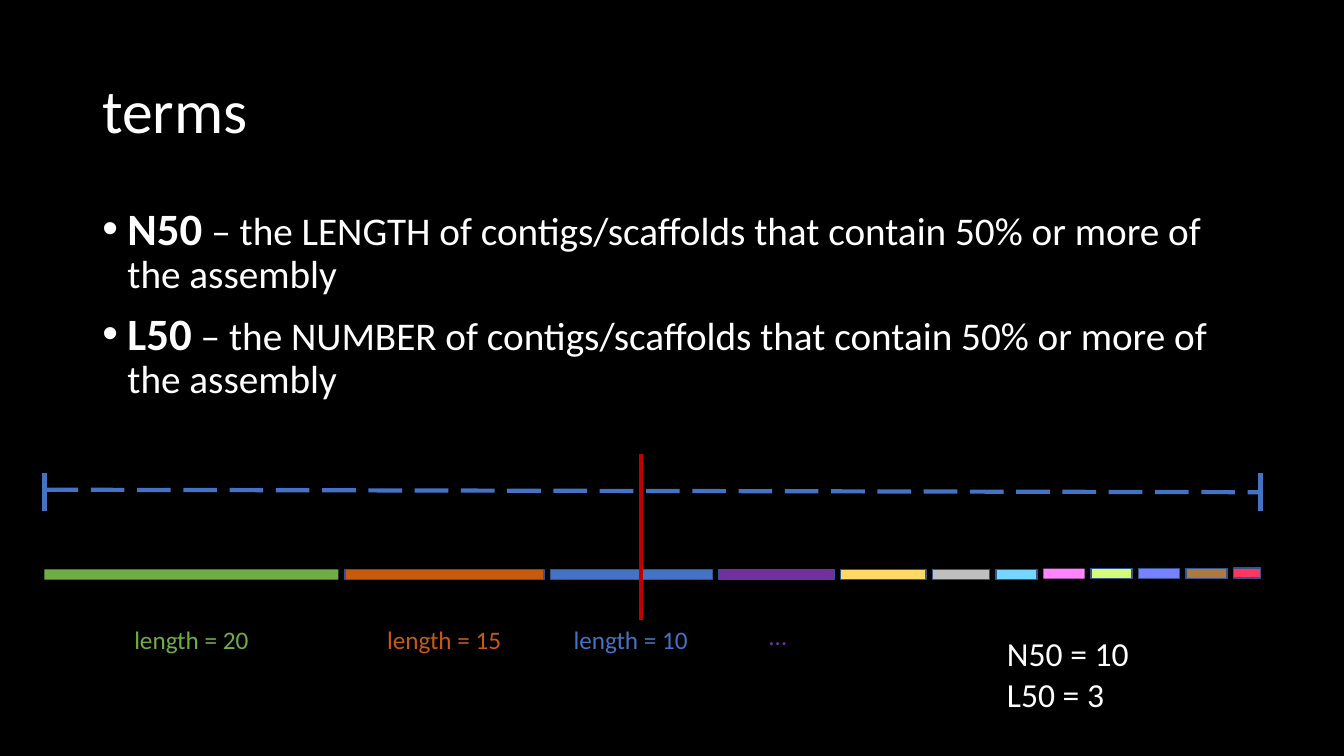
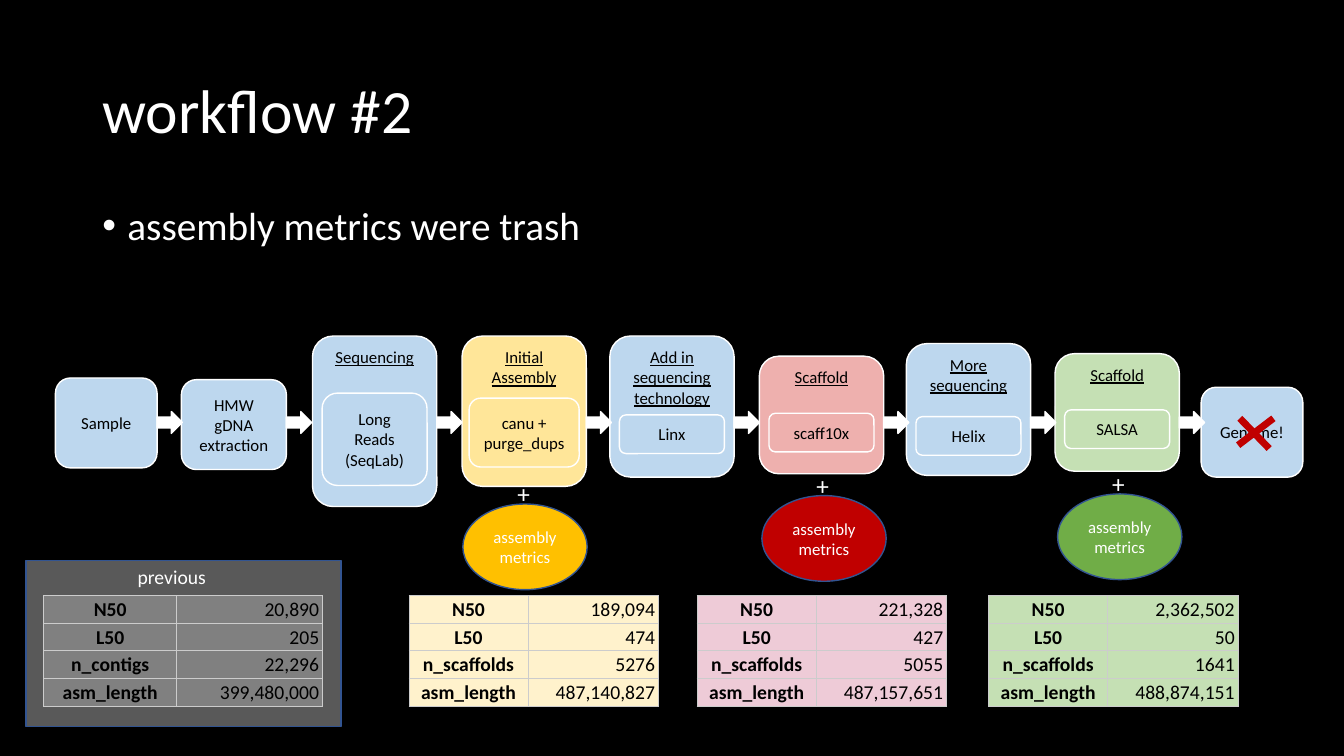
from dataclasses import dataclass
from typing import NamedTuple

from lxml import etree
from pptx import Presentation
from pptx import util as u
from pptx.dml.color import RGBColor
from pptx.enum import dml, shapes, text
from pptx.oxml.ns import qn

COLUMNS, ROWS = 160, 90
CELL = u.Inches(1) // 12  # square grid cell

BLACK = RGBColor(0x00, 0x00, 0x00)
WHITE = RGBColor(0xFF, 0xFF, 0xFF)
NAVY = RGBColor(0x32, 0x54, 0x91)
BLUE = RGBColor(0x44, 0x72, 0xC4)
RED = RGBColor(0xC0, 0x00, 0x00)
GREEN = RGBColor(0x70, 0xAD, 0x47)
ORANGE = RGBColor(0xC5, 0x5A, 0x11)
PURPLE = RGBColor(0x70, 0x30, 0xA0)
AMBER = RGBColor(0xFF, 0xC0, 0x00)
YELLOW = RGBColor(0xFF, 0xD9, 0x66)
SILVER = RGBColor(0xBF, 0xBF, 0xBF)
SKY = RGBColor(0x76, 0xD6, 0xFF)
PINK = RGBColor(0xFF, 0x85, 0xFF)
LIME = RGBColor(0xD5, 0xFC, 0x79)
VIOLET = RGBColor(0x7A, 0x81, 0xFF)
BROWN = RGBColor(0xAB, 0x79, 0x42)
CRIMSON = RGBColor(0xFF, 0x37, 0x5F)
PALE_BLUE = RGBColor(0xBD, 0xD7, 0xEE)
PALE_YELLOW = RGBColor(0xFF, 0xE6, 0x99)
PALE_RED = RGBColor(0xEE, 0xB0, 0xAE)
PALE_GREEN = RGBColor(0xC5, 0xE0, 0xB4)
CREAM = RGBColor(0xFF, 0xF2, 0xCC)
ROSE = RGBColor(0xEE, 0xCB, 0xD7)
GREY = RGBColor(0x80, 0x80, 0x80)
DARK_GREY = RGBColor(0x59, 0x59, 0x59)

MSO, ALIGN, ANCHOR = shapes.MSO_SHAPE, text.PP_ALIGN, text.MSO_ANCHOR


class Box(NamedTuple):
    """A rectangle in grid cells."""
    x: float
    y: float
    w: float
    h: float

    def emu(self) -> list[int]:
        return [grid(n) for n in self]


class Run(NamedTuple):
    text: str
    size: float
    bold: bool = False


@dataclass
class Contig:
    width: float
    color: RGBColor
    top: float = 67.8
    outlined: bool = True


@dataclass
class Stage:
    box: Box
    color: RGBColor
    heading: str
    tool: tuple[str, ...] = ()
    tool_top: float = 0
    tool_width: float = 12.5
    tool_height: float = 4.6


class Metric(NamedTuple):
    x: float
    y: float
    color: RGBColor
    table_x: float
    table_color: RGBColor
    values: tuple[str, ...]


TITLE = Box(11, 4.8, 138, 17.4)
BODY = Box(11, 24, 138, 57.1)

CONTIG_LEFT, CONTIG_GAP, CONTIG_HEIGHT = 5.3, 0.76, 1.2
CONTIGS = [
    Contig(35, GREEN, outlined=False), Contig(23.7, ORANGE), Contig(19.3, BLUE),
    Contig(13.7, PURPLE), Contig(10.2, YELLOW), Contig(6.8, SILVER),
    Contig(4.9, SKY), Contig(4.9, PINK, 67.7, False), Contig(4.9, LIME, 67.7),
    Contig(4.9, VIOLET, 67.7), Contig(4.9, BROWN, 67.7), Contig(3.2, CRIMSON, 67.6),
]
LENGTH_LABELS = [
    (Box(14.8, 73.7, 16.2, 4.8), "length = 20", GREEN),
    (Box(44.9, 73.7, 16.2, 4.8), "length = 15", ORANGE),
    (Box(67.1, 73.7, 16.2, 4.8), "length = 10", BLUE),
    (Box(90.4, 73.2, 4.6, 4.8), "…", PURPLE),
]

STAGES = [
    Stage(Box(6.6, 45, 12.1, 10.7), PALE_BLUE, "Sample"),
    Stage(Box(21.6, 45.2, 12.5, 10.7), PALE_BLUE, "HMW gDNA extraction"),
    Stage(Box(37.2, 40, 14.8, 20.3), PALE_BLUE, "Sequencing",
          ("Long Reads", "(SeqLab)"), 46.8, tool_height=11),
    Stage(Box(55, 40, 14.8, 17.9), PALE_YELLOW, "Initial Assembly",
          ("canu + purge_dups",), 47.4, 13.1, 8.2),
    Stage(Box(72.6, 40, 14.8, 16.8), PALE_BLUE, "Add in sequencing technology",
          ("Linx",), 49.4),
    Stage(Box(90.4, 42.4, 14.8, 14), PALE_RED, "Scaffold", ("scaff10x",), 49.2),
    Stage(Box(107.9, 40.9, 14.8, 15.7), PALE_BLUE, "More sequencing", ("Helix",), 49.6),
    Stage(Box(125.6, 42.1, 14.8, 14), PALE_GREEN, "Scaffold", ("SALSA",), 48.8),
    Stage(Box(143, 46.1, 12.1, 10.7), PALE_BLUE, "Genome!"),
]
METRICS = [
    Metric(55.1, 60, AMBER, 48.7, CREAM, ("189,094", "474", "5276", "487,140,827")),
    Metric(90.7, 59, RED, 83, ROSE, ("221,328", "427", "5055", "487,157,651")),
    Metric(125.9, 58.8, GREEN, 117.7, PALE_GREEN,
           ("2,362,502", "50", "1641", "488,874,151")),
]
TABLE_TOP, TABLE_ROW, LABEL_SHARE = 70.9, 3.3, 0.477


def grid(n: float) -> int:
    return round(n * CELL)


def add_bullet(p) -> None:
    pPr = p._p.get_or_add_pPr()
    pPr.set("marL", str(grid(3)))
    pPr.set("indent", str(-grid(3)))
    etree.SubElement(pPr, qn("a:buFont")).set("typeface", "Arial")
    etree.SubElement(pPr, qn("a:buChar")).set("char", "•")


def write(tf, paragraphs: list, color: RGBColor, size: float = 12, align=ALIGN.LEFT,
          spacing: float = 1, bullets: bool = False, **fmt) -> None:
    """Fill a text frame; a paragraph is a string or a list of runs."""
    for i, content in enumerate(paragraphs):
        p = tf.paragraphs[0] if i == 0 else tf.add_paragraph()
        p.alignment, p.line_spacing = align, spacing
        if bullets:
            p.space_before = u.Pt(10 if i else 0)
            add_bullet(p)
        runs = [Run(content, size, fmt.get("bold", False))] if isinstance(content, str) else content
        for part in runs:
            r = p.add_run()
            r.text = part.text
            values = {"name": "Calibri", **fmt, "size": u.Pt(part.size), "bold": part.bold}
            for key, value in values.items():
                setattr(r.font, key, value)
            r.font.color.rgb = color


def add_text(s, box: Box, paragraphs: list, color: RGBColor = WHITE, wrap: bool = False,
             anchor=ANCHOR.TOP, **fmt) -> None:
    tf = s.shapes.add_textbox(*box.emu()).text_frame
    tf.word_wrap, tf.vertical_anchor = wrap, anchor
    tf.auto_size = text.MSO_AUTO_SIZE.NONE if wrap else text.MSO_AUTO_SIZE.SHAPE_TO_FIT_TEXT
    write(tf, paragraphs, color, **fmt)


def add_shape(s, kind, box: Box, fill: RGBColor, line: RGBColor | None = None,
              paragraphs: list = (), color: RGBColor = BLACK, anchor=ANCHOR.MIDDLE,
              **fmt) -> None:
    sp = s.shapes.add_shape(kind, *box.emu())
    sp.shadow.inherit = False
    sp.fill.solid()
    sp.fill.fore_color.rgb = fill
    if line is None:
        sp.line.fill.background()
    else:
        sp.line.color.rgb, sp.line.width = line, u.Pt(1)
    tf = sp.text_frame
    tf.word_wrap, tf.vertical_anchor = True, anchor
    write(tf, paragraphs, color, align=ALIGN.CENTER, **fmt)


def add_line(s, x1: float, y1: float, x2: float, y2: float, color: RGBColor,
             width: float = 3, dash=None) -> None:
    ends = [grid(n) for n in (x1, y1, x2, y2)]
    c = s.shapes.add_connector(shapes.MSO_CONNECTOR.STRAIGHT, *ends)
    c.line.color.rgb, c.line.width = color, u.Pt(width)
    if dash is not None:
        c.line.dash_style = dash
    etree.SubElement(c._element.spPr, qn("a:effectLst"))


def add_borders(cell, color: RGBColor) -> None:
    tcPr = cell._tc.get_or_add_tcPr()
    for i, side in enumerate(("lnL", "lnR", "lnT", "lnB")):
        ln = etree.Element(qn(f"a:{side}"), w=str(u.Pt(0.75)))
        solid = etree.SubElement(ln, qn("a:solidFill"))
        etree.SubElement(solid, qn("a:srgbClr")).set("val", str(color))
        tcPr.insert(i, ln)


def add_metrics_table(s, x: float, width: float, fill: RGBColor, unit: str,
                      values: tuple[str, ...]) -> None:
    labels = ("N50", "L50", unit, "asm_length")
    box = Box(x, TABLE_TOP, width, TABLE_ROW * len(labels))
    table = s.shapes.add_table(len(labels), 2, *box.emu()).table
    table.first_row = table.horz_banding = False
    for column, share in zip(table.columns, (LABEL_SHARE, 1 - LABEL_SHARE)):
        column.width = grid(width * share)
    layout = {"vertical_anchor": ANCHOR.BOTTOM, "margin_left": grid(0.4),
              "margin_right": grid(0.4), "margin_top": grid(0.2), "margin_bottom": grid(0.2)}
    for i, row in enumerate(zip(labels, values)):
        for j, content in enumerate(row):
            cell = table.cell(i, j)
            for key, value in layout.items():
                setattr(cell, key, value)
            cell.fill.solid()
            cell.fill.fore_color.rgb = fill
            add_borders(cell, RGBColor(0xCC, 0xCC, 0xCC))
            write(cell.text_frame, [content], BLACK, 14, bold=j == 0,
                  align=ALIGN.RIGHT if j else ALIGN.CENTER)


def add_slide(prs, title: str, body: list):
    """Add a black slide with its title and bulleted body."""
    s = prs.slides.add_slide(prs.slide_layouts[6])
    s.background.fill.solid()
    s.background.fill.fore_color.rgb = BLACK
    add_text(s, TITLE, [title], wrap=True, anchor=ANCHOR.MIDDLE, size=44, spacing=0.9)
    add_text(s, BODY, body, wrap=True, size=28, spacing=0.9, bullets=True)
    return s


def add_stage(s, stage: Stage) -> None:
    box = stage.box
    anchor = ANCHOR.TOP if stage.tool else ANCHOR.MIDDLE
    add_shape(s, MSO.ROUNDED_RECTANGLE, box, stage.color, WHITE, [stage.heading],
              anchor=anchor, underline=bool(stage.tool))
    if stage.tool:
        inner = Box(box.x + (box.w - stage.tool_width) / 2, stage.tool_top,
                    stage.tool_width, stage.tool_height)
        add_shape(s, MSO.ROUNDED_RECTANGLE, inner, stage.color, WHITE, stage.tool)


def build_terms(prs) -> None:
    s = add_slide(prs, "terms", [
        [Run(term, 32, True),
         Run(f" – the {kind} of contigs/scaffolds that contain 50% or more of the assembly", 28)]
        for term, kind in (("N50", "LENGTH"), ("L50", "NUMBER"))])
    x = CONTIG_LEFT
    for contig in CONTIGS:
        add_shape(s, MSO.RECTANGLE, Box(x, contig.top, contig.width, CONTIG_HEIGHT),
                  contig.color, NAVY if contig.outlined else None)
        x += contig.width + CONTIG_GAP
    right = x - CONTIG_GAP
    add_line(s, CONTIG_LEFT, 58.3, right, 58.6, BLUE, dash=dml.MSO_LINE.LONG_DASH)
    for end in (CONTIG_LEFT, right):
        add_line(s, end, 56.3, end, 60.8, BLUE)
    add_line(s, 76.3, 54, 76.3, 73.8, RED)
    for box, label, color in LENGTH_LABELS:
        add_text(s, box, [label], color, size=18)
    add_text(s, Box(118.7, 74.8, 17, 10.9), ["N50 = 10", "L50 = 3"], size=24)


def build_workflow(prs) -> None:
    s = add_slide(prs, "workflow #2", ["assembly metrics were trash"])
    for stage in STAGES:
        add_stage(s, stage)
    for stage in STAGES[:-1]:
        add_shape(s, MSO.RIGHT_ARROW, Box(stage.box.x + stage.box.w, 49, 3, 2.6), WHITE, WHITE)
    add_line(s, 147.6, 49.8, 151.1, 53.4, RED, 5)
    add_line(s, 147.4, 53, 151.6, 49.8, RED, 5)
    add_shape(s, MSO.RECTANGLE, Box(3.1, 66.7, 37.5, 19.8), DARK_GREY, NAVY)
    add_text(s, Box(15.2, 66.7, 10.7, 4.1), ["previous"], size=14)
    add_metrics_table(s, 5.2, 33.2, GREY, "n_contigs", ("20,890", "205", "22,296", "399,480,000"))
    for m in METRICS:
        add_shape(s, MSO.OVAL, Box(m.x, m.y, 14.8, 10.2), m.color, NAVY,
                  ["assembly metrics"], WHITE)
        add_text(s, Box(m.x + 5.3, m.y - 3.6, 4, 4.8), ["+"], size=18)
        add_metrics_table(s, m.table_x, 29.7, m.table_color, "n_scaffolds", m.values)


def main() -> None:
    prs = Presentation()
    prs.slide_width, prs.slide_height = grid(COLUMNS), grid(ROWS)
    build_terms(prs)
    build_workflow(prs)
    prs.save("out.pptx")


if __name__ == "__main__":
    main()
